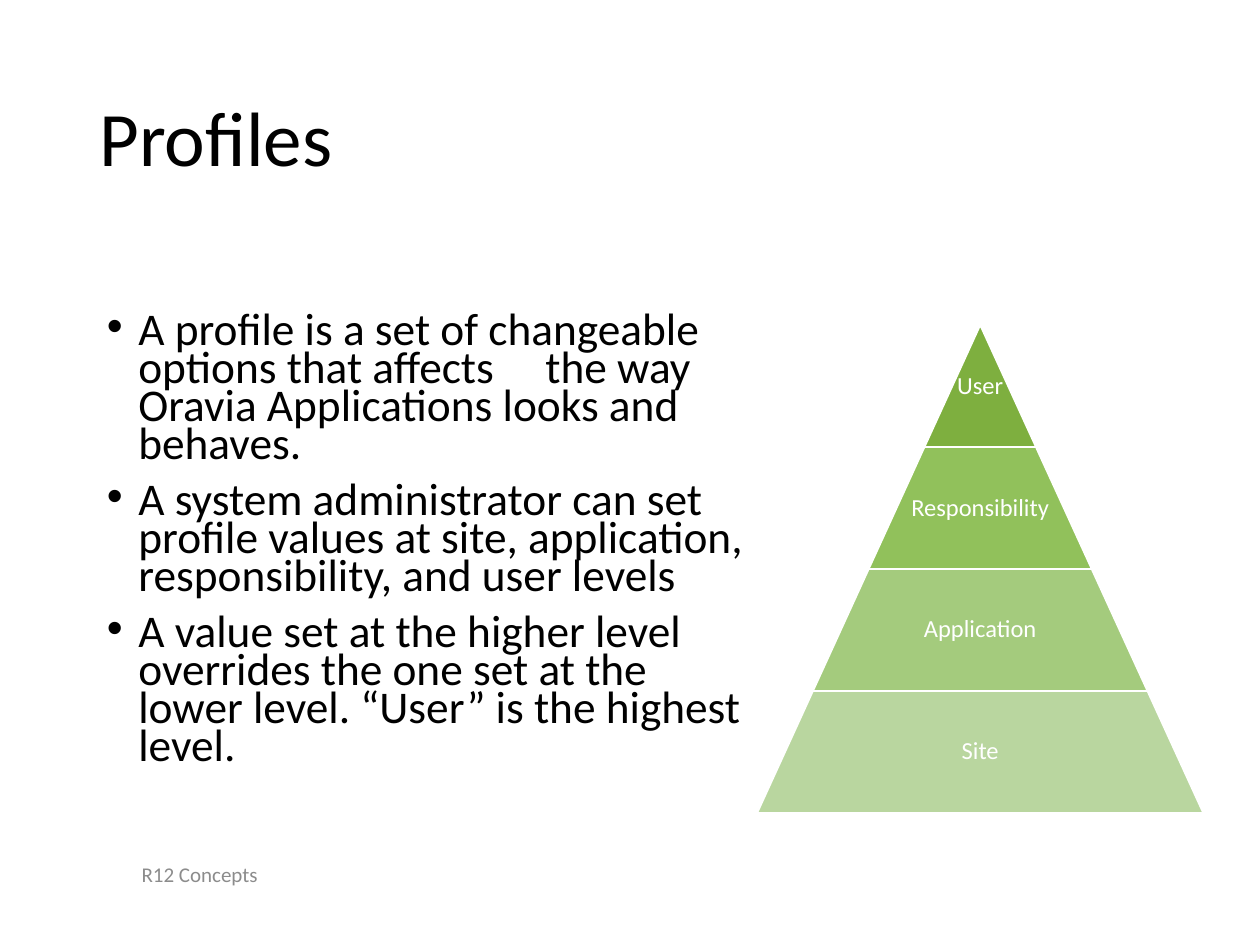
import pptx
import pptx.dml.color
import pptx.enum.shapes
import pptx.enum.text
import pptx.util
import lxml.etree
import pptx.oxml.ns

Inches = pptx.util.Inches
Pt = pptx.util.Pt
ALIGN = pptx.enum.text.PP_ALIGN
ANCHOR = pptx.enum.text.MSO_ANCHOR


def color(hex_string):
    return pptx.dml.color.RGBColor.from_string(hex_string)


def write(frame, paragraphs, size, fill="000000", align=ALIGN.LEFT, anchor=ANCHOR.MIDDLE,
          spacing=0.9, before=0, bullet=False, margin=None, wrap=True):
    """Fill a text frame; each paragraph is a list of (text, letter spacing in points)."""
    frame.word_wrap = wrap
    frame.auto_size = pptx.enum.text.MSO_AUTO_SIZE.NONE
    frame.vertical_anchor = anchor
    if margin is not None:
        frame.margin_left = frame.margin_right = Inches(margin)
        frame.margin_top = frame.margin_bottom = Inches(margin)
    for index, runs in enumerate(paragraphs):
        paragraph = frame.add_paragraph() if index else frame.paragraphs[0]
        paragraph.alignment = align
        paragraph.line_spacing = spacing
        paragraph.space_before = Pt(before)
        if bullet:
            properties = paragraph._p.get_or_add_pPr()
            properties.set("marL", str(Inches(0.25)))
            properties.set("indent", str(-Inches(0.25)))
            font = lxml.etree.SubElement(properties, pptx.oxml.ns.qn("a:buFont"))
            font.set("typeface", "Arial")
            mark = lxml.etree.SubElement(properties, pptx.oxml.ns.qn("a:buChar"))
            mark.set("char", "•")
        for text, letter_spacing in runs:
            run = paragraph.add_run()
            run.text = text
            run.font.name = "Calibri"
            run.font.size = Pt(size)
            run.font.color.rgb = color(fill)
            if letter_spacing:
                run._r.get_or_add_rPr().set("spc", str(int(letter_spacing * 100)))


presentation = pptx.Presentation()
presentation.slide_width = Inches(10)
presentation.slide_height = Inches(7.5)
slide = presentation.slides.add_slide(presentation.slide_layouts[5])

title = slide.shapes.title
title.left, title.top = Inches(0.69), Inches(0.4)
title.width, title.height = Inches(8.62), Inches(1.45)
write(title.text_frame, [[("Profiles", 0)]], size=44)

# Body: a widened space keeps the gap in the first bullet
bullets = [
    [("A profile is a set of changeable options that affects", 0), (" ", 23.4),
     ("the way Oravia Applications looks and behaves.", 0)],
    [("A system administrator can set profile values at site, application, "
      "responsibility, and user levels", 0)],
    [("A value set at the higher level overrides the one set at the lower level. "
      "“User” is the highest level.", 0)],
]
body = slide.shapes.add_textbox(Inches(0.75), Inches(2.45), Inches(5.27), Inches(4.24))
write(body.text_frame, bullets, size=25.9, anchor=ANCHOR.TOP, spacing=0.7, before=10,
      bullet=True)

# Pyramid: every level is one step wider than the level above
levels = [("User", "7EAF3F"), ("Responsibility", "91C15B"),
          ("Application", "A4CB7D"), ("Site", "B9D69F")]
pyramid_center, pyramid_top = 7.78, 2.58
width_step, level_height = 0.885, 0.968
for index, (label, fill) in enumerate(levels):
    width = width_step * (index + 1)
    box = [Inches(value) for value in (pyramid_center - width / 2,
                                       pyramid_top + index * level_height,
                                       width, level_height)]
    level = slide.shapes.add_shape(pptx.enum.shapes.MSO_SHAPE.TRAPEZOID, *box)
    level.adjustments[0] = width_step / 2 / min(width, level_height)
    level.shadow.inherit = False
    level.fill.solid()
    level.fill.fore_color.rgb = color(fill)
    level.line.color.rgb = color("FFFFFF")
    level.line.width = Pt(1)
    caption = slide.shapes.add_textbox(*box)
    write(caption.text_frame, [[(label, 0)]], size=14, fill="FFFFFF", align=ALIGN.CENTER,
          margin=0.02, wrap=False)

footer = slide.shapes.add_textbox(0, Inches(6.74), Inches(3.17), Inches(0.4))
write(footer.text_frame, [[("R12 Concepts", 0)]], size=12, fill="8C8C8C",
      align=ALIGN.CENTER, spacing=1.0)

presentation.save("out.pptx")
